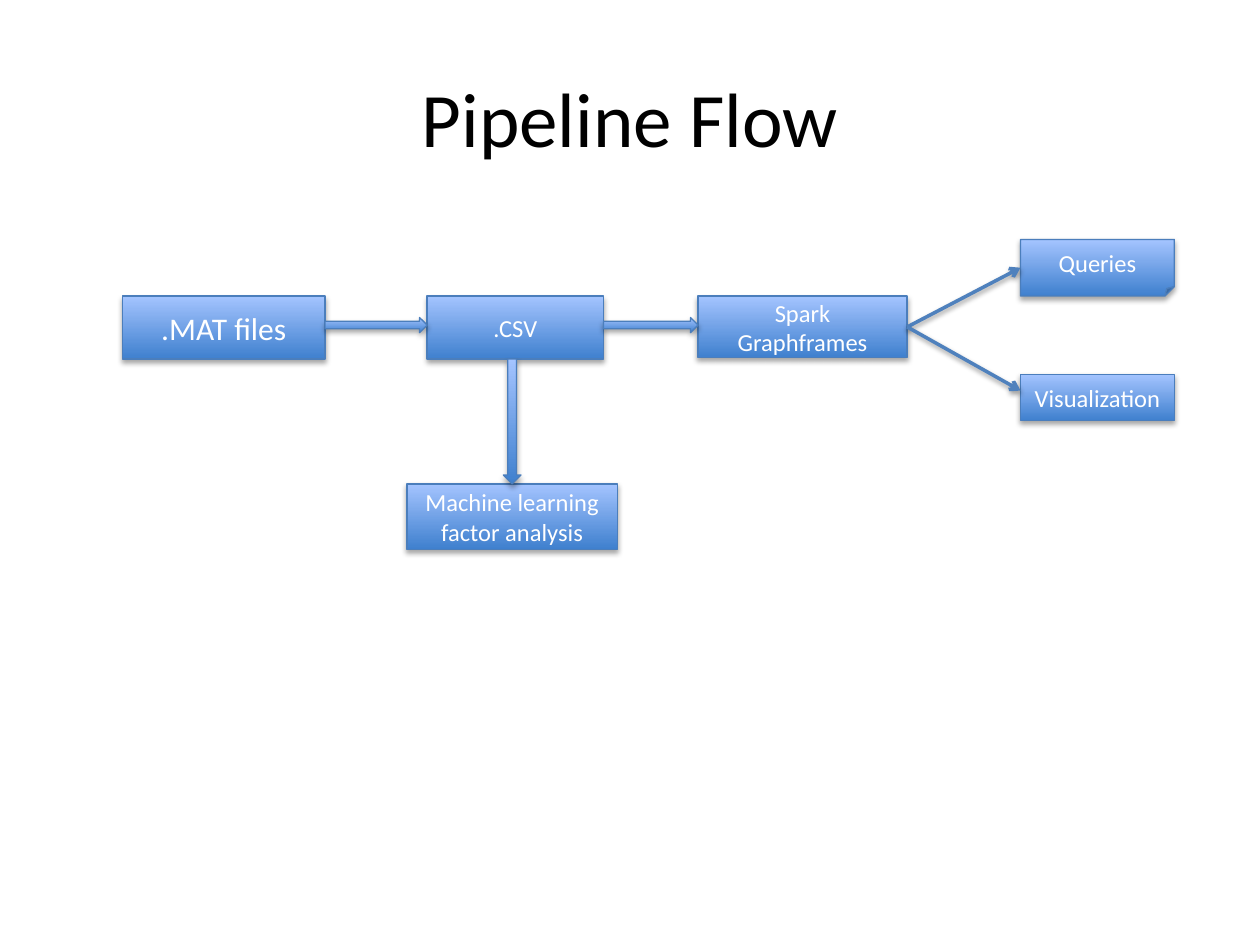
import pptx
import pptx.util
import pptx.dml.color
import pptx.enum.shapes
import pptx.enum.text
import pptx.oxml
import pptx.oxml.ns

SHAPE = pptx.enum.shapes.MSO_SHAPE
INCH = pptx.util.Inches
FONT = "Calibri"

TITLE = "Pipeline Flow"
# name: (text, left, top, width, height, text size, shape)
STEPS = {
    "mat": (".MAT files", 0.97, 2.35, 1.61, 0.5, 18, SHAPE.RECTANGLE),
    "csv": (".CSV", 3.39, 2.35, 1.4, 0.5, 14, SHAPE.RECTANGLE),
    "graph": ("Spark Graphframes", 5.54, 2.35, 1.66, 0.49, 14, SHAPE.RECTANGLE),
    "queries": ("Queries", 8.1, 1.9, 1.22, 0.45, 14, SHAPE.FOLDED_CORNER),
    "charts": ("Visualization", 8.1, 2.97, 1.22, 0.37, 14, SHAPE.RECTANGLE),
    "learning": ("Machine learning factor analysis", 3.23, 3.84, 1.67, 0.52, 14,
                 SHAPE.RECTANGLE),
}
ACROSS = [("mat", "csv"), ("csv", "graph")]
DOWN = [("csv", "learning")]
ACROSS_THICKNESS, DOWN_THICKNESS = 0.12, 0.14


def color(value):
    return pptx.dml.color.RGBColor.from_string(value)


def add_shadow(shape, opacity, distance):
    """Soft black shadow falling straight down."""
    shape._element.spPr.append(pptx.oxml.parse_xml(
        f'<a:effectLst {pptx.oxml.ns.nsdecls("a")}>'
        f'<a:outerShdw blurRad="{pptx.util.Pt(3.1)}" dist="{pptx.util.Pt(distance)}"'
        ' dir="5400000" rotWithShape="0">'
        f'<a:srgbClr val="000000"><a:alpha val="{opacity * 1000}"/></a:srgbClr>'
        '</a:outerShdw></a:effectLst>'))


def add_block(kind, left, top, width, height):
    """Blue shape, dark at the bottom and light at the top."""
    block = slide.shapes.add_shape(kind, left, top, width, height)
    block.fill.gradient()
    block.fill.gradient_angle = 90
    for stop, shade in zip(block.fill.gradient_stops, ("3F80CE", "A4C4FF")):
        stop.color.rgb = color(shade)
    block.line.color.rgb = color("4B7EBC")
    block.line.width = pptx.util.Pt(0.75)
    add_shadow(block, 35, 1.8)
    return block


def write(shape, text, size, shade):
    frame = shape.text_frame
    frame.word_wrap = True
    frame.vertical_anchor = pptx.enum.text.MSO_ANCHOR.MIDDLE
    para = frame.paragraphs[0]
    para.text = text
    para.alignment = pptx.enum.text.PP_ALIGN.CENTER
    para.font.name = FONT
    para.font.size = pptx.util.Pt(size)
    para.font.color.rgb = color(shade)


def add_branch(start, end):
    """Thin arrow from the right side of one box to the left side of another."""
    branch = slide.shapes.add_connector(
        pptx.enum.shapes.MSO_CONNECTOR.STRAIGHT, 0, 0, 0, 0)
    branch.begin_connect(start, 3)
    branch.end_connect(end, 1)
    branch.line.color.rgb = color("4F81BD")
    branch.line.width = pptx.util.Pt(2)
    branch.line._get_or_add_ln().append(pptx.oxml.parse_xml(
        f'<a:tailEnd {pptx.oxml.ns.nsdecls("a")} type="arrow"/>'))
    add_shadow(branch, 38, 1.6)
    return branch


deck = pptx.Presentation()
deck.slide_width, deck.slide_height = INCH(10), INCH(7.5)
slide = deck.slides.add_slide(deck.slide_layouts[5])

# Title
title = slide.shapes.title
title.left, title.top, title.width, title.height = map(INCH, (0.5, 0.3, 9, 1.25))
write(title, TITLE, 44, "000000")

# Steps
boxes = {}
for name, (text, left, top, width, height, size, kind) in STEPS.items():
    boxes[name] = add_block(kind, *map(INCH, (left, top, width, height)))
    write(boxes[name], text, size, "FFFFFF")

# Block arrows fill the gaps between steps
for start, end in ACROSS:
    first, second = boxes[start], boxes[end]
    left, thickness = first.left + first.width, INCH(ACROSS_THICKNESS)
    middle = first.top + first.height // 2 - INCH(0.02)
    add_block(SHAPE.RIGHT_ARROW, left, middle - thickness // 2,
              second.left - left, thickness)
for start, end in DOWN:
    first, second = boxes[start], boxes[end]
    top, thickness = first.top + first.height, INCH(DOWN_THICKNESS)
    middle = second.left + second.width // 2
    add_block(SHAPE.DOWN_ARROW, middle - thickness // 2, top,
              thickness, second.top - top)

# Branches to the two outputs; the lower one ends just above the middle
add_branch(boxes["graph"], boxes["queries"])
lower = add_branch(boxes["graph"], boxes["charts"])
lower.end_y = INCH(3.1)

deck.save("out.pptx")
